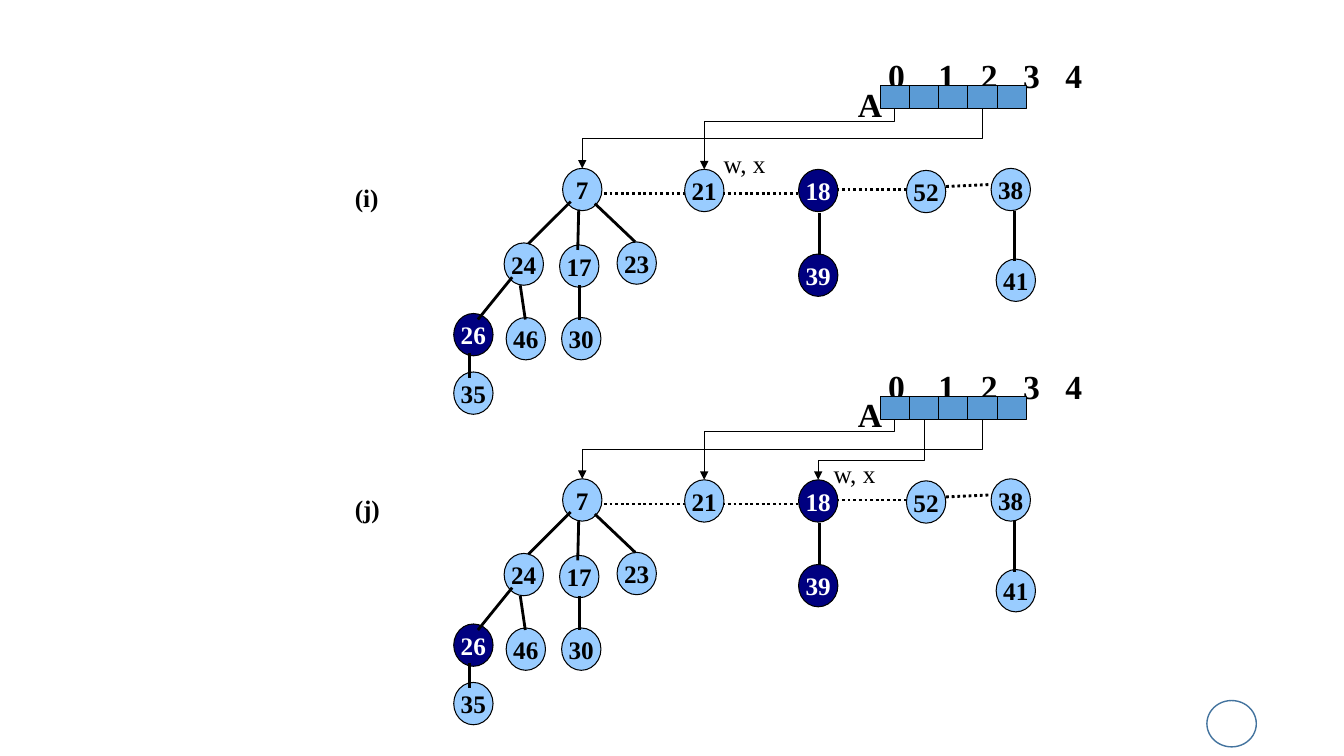
import lxml.etree
import pptx
import pptx.dml.color
import pptx.enum.dml
import pptx.enum.shapes
import pptx.enum.text
import pptx.oxml.ns
import pptx.util

Inches = pptx.util.Inches
Pt = pptx.util.Pt
qn = pptx.oxml.ns.qn
SHAPE = pptx.enum.shapes.MSO_SHAPE
LINK = pptx.enum.shapes.MSO_CONNECTOR
DOT = pptx.enum.dml.MSO_LINE.ROUND_DOT

HUES = {"ink": "000000", "pale": "99CCFF", "navy": "000080",
        "cell": "5B9BD5", "ring": "43739E", "white": "FFFFFF"}
DARK = {18, 26, 39}
SIZE = (0.39, 0.42)
CELL = (0.29, 0.23)
ROW = (5.31, 0.35)
NODES = {
    7: (2.16, 1.17), 21: (3.37, 1.18), 18: (4.5, 1.18), 52: (5.57, 1.19),
    38: (6.41, 1.17), 24: (1.58, 1.91), 17: (2.13, 1.93), 23: (2.7, 1.9),
    39: (4.5, 2.02), 41: (6.46, 2.07), 26: (1.08, 2.61), 46: (1.6, 2.65),
    30: (2.15, 2.65), 35: (1.08, 3.19),
}
ROOTS = [(2.57, 1.42, 4.57, 1.42), (4.54, 1.38, 5.86, 1.38),
         (5.74, 1.36, 6.41, 1.33)]
EDGES = [
    (4.71, 1.61, 4.71, 2.03), (6.64, 1.59, 6.64, 2.09),
    (2.33, 2.33, 2.33, 2.67), (1.66, 2.25, 1.32, 2.67),
    (1.74, 2.33, 1.79, 2.67), (1.24, 3, 1.24, 3.25),
    (2.32, 1.58, 2.31, 1.98), (2.48, 1.52, 2.88, 1.9),
    (2.24, 1.5, 1.82, 1.92),
]
BENDS = [(3, 7, 0.5), (0, 21, 0.21)]


def rgb(hue):
    return pptx.dml.color.RGBColor.from_string(HUES[hue])


def style(obj, form):
    for name, value in form.items():
        setattr(obj, name, value)


def write(frame, text, hue="ink", size=18, bold=True):
    frame.word_wrap = False
    run = frame.paragraphs[0].add_run()
    run.text = text
    style(run.font, {"name": "Times New Roman", "size": Pt(size), "bold": bold})
    run.font.color.rgb = rgb(hue)


def label(slide, box, text, **form):
    area = slide.shapes.add_textbox(*map(Inches, box))
    write(area.text_frame, text, **form)
    return area.text_frame


def shape(slide, kind, box, fill=None, edge="ink", width=0.75):
    item = slide.shapes.add_shape(kind, *map(Inches, box))
    item.shadow.inherit = False
    if fill:
        item.fill.solid()
        item.fill.fore_color.rgb = rgb(fill)
    else:
        item.fill.background()
    item.line.color.rgb = rgb(edge)
    item.line.width = Pt(width)
    return item


def link(slide, kind, ends, width, dash=None):
    line = slide.shapes.add_connector(kind, *map(Inches, ends))
    line.line.color.rgb = rgb("ink")
    style(line.line, {"width": Pt(width), "dash_style": dash})
    lxml.etree.SubElement(line.element.spPr, qn("a:effectLst"))
    return line


def node(slide, x, y, key):
    dark = key in DARK
    item = shape(slide, SHAPE.OVAL, (x, y, *SIZE), "navy" if dark else "pale")
    frame = item.text_frame
    write(frame, str(key), "white" if dark else "ink")
    frame.vertical_anchor = pptx.enum.text.MSO_ANCHOR.MIDDLE
    frame.paragraphs[0].alignment = pptx.enum.text.PP_ALIGN.CENTER


def arrow(slide, x, y, slot, key, bend):
    left, top = NODES[key]
    start = x + ROW[0] + CELL[0] * (slot + 0.5), y + ROW[1] + CELL[1]
    end = x + left + SIZE[0] / 2, y + top
    wide, high = start[0] - end[0], end[1] - start[1]
    mid = (start[0] + end[0]) / 2, (start[1] + end[1]) / 2
    ends = (mid[0] - high / 2, mid[1] - wide / 2,
            mid[0] + high / 2, mid[1] + wide / 2)
    line = link(slide, LINK.ELBOW, ends, 0.75)
    props = line.element.spPr
    props.find(qn("a:xfrm")).set("rot", "5400000")
    geom = props.find(qn("a:prstGeom"))
    guides = geom.find(qn("a:avLst"))
    if guides is None:
        guides = lxml.etree.SubElement(geom, qn("a:avLst"))
    lxml.etree.SubElement(guides, qn("a:gd"), name="adj1",
                          fmla=f"val {round(bend * 100000)}")
    lxml.etree.SubElement(props.find(qn("a:ln")), qn("a:tailEnd"),
                          type="triangle")


def array(slide, x, y):
    frame = label(slide, (x + 5.29, y, 2.14, 0.51), "0\t1\t2\t3\t4", size=24)
    frame.word_wrap = True
    props = frame.paragraphs[0]._p.get_or_add_pPr()
    stops = lxml.etree.SubElement(props, qn("a:tabLst"))
    for i in range(4):
        lxml.etree.SubElement(stops, qn("a:tab"), algn="l",
                              pos=str(Inches(0.5 + 0.42 * i)))
    for i in range(5):
        box = (x + ROW[0] + CELL[0] * i, y + ROW[1], *CELL)
        shape(slide, SHAPE.RECTANGLE, box, "cell")
    label(slide, (x + 4.99, y + 0.28, 0.45, 0.51), "A", size=24)


def heap(slide, x, y):
    def move(ends):
        return ends[0] + x, ends[1] + y, ends[2] + x, ends[3] + y

    for ends in ROOTS:
        link(slide, LINK.STRAIGHT, move(ends), 2, DOT)
    for key, (left, top) in NODES.items():
        node(slide, x + left, y + top, key)
    for ends in EDGES:
        link(slide, LINK.STRAIGHT, move(ends), 2)


def panel(slide, x, y, name, mark, bends):
    array(slide, x, y)
    label(slide, (x, y + 1.26, 0.45, 0.4), name)
    heap(slide, x, y)
    label(slide, (x + mark, y + 0.92, 0.63, 0.4), "w, x", bold=False)
    for bend in bends:
        arrow(slide, x, y, *bend)


def main():
    deck = pptx.Presentation()
    style(deck, {"slide_width": Inches(13.33), "slide_height": Inches(7.5)})
    slide = deck.slides.add_slide(deck.slide_layouts[6])
    shape(slide, SHAPE.OVAL, (11.97, 6.95, 0.49, 0.46), edge="ring", width=1)
    panel(slide, 3.42, 0.5, "(i)", 3.66, BENDS)
    panel(slide, 3.42, 3.58, "(j)", 4.75, BENDS + [(1, 18, 0.68)])
    deck.save("out.pptx")


if __name__ == "__main__":
    main()
